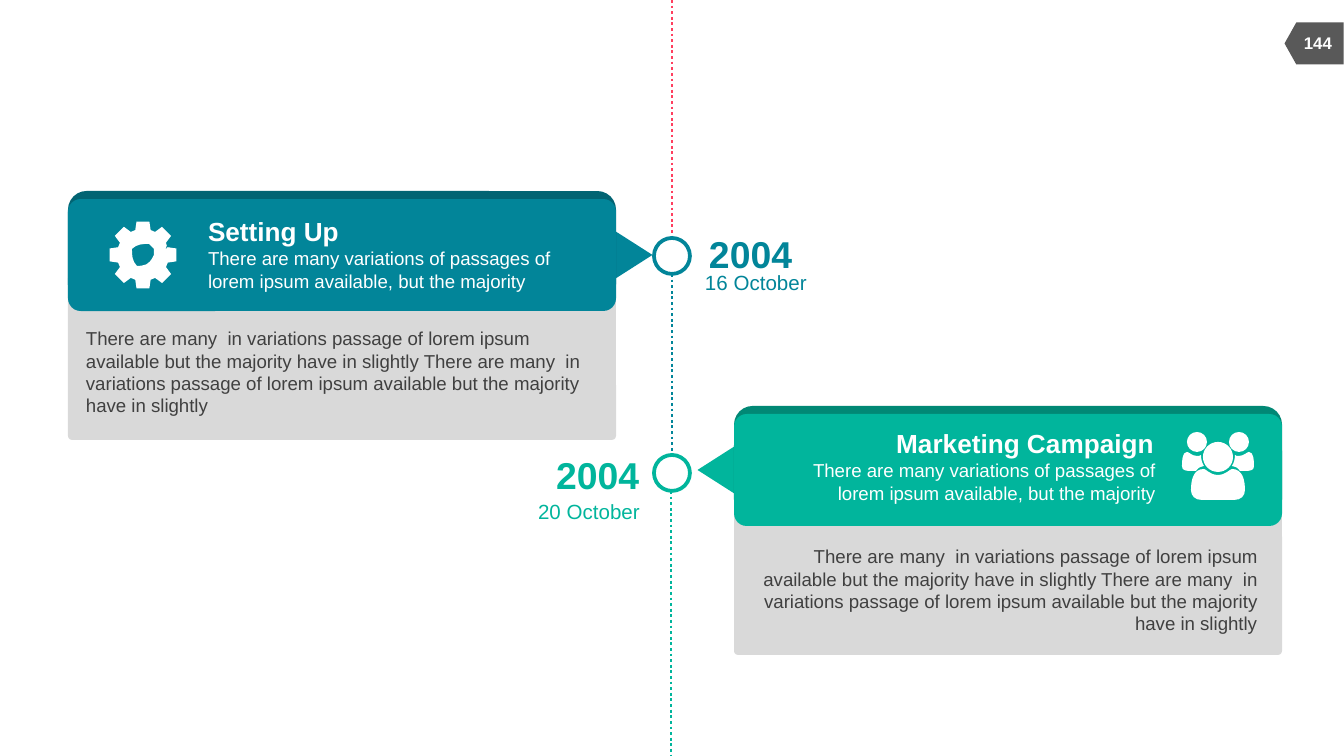
import math

import lxml.etree
import pptx
import pptx.dml.color
import pptx.enum.dml
import pptx.enum.shapes
import pptx.enum.text
import pptx.oxml.ns
import pptx.util

RGB = pptx.dml.color.RGBColor
KIND = pptx.enum.shapes.MSO_SHAPE
ALIGN = pptx.enum.text.PP_ALIGN
ANCHOR = pptx.enum.text.MSO_ANCHOR
tag = pptx.oxml.ns.qn

WHITE = RGB(0xFF, 0xFF, 0xFF)
GREY = RGB(0xD9, 0xD9, 0xD9)
BADGE = RGB(0x59, 0x59, 0x59)
INK = RGB(0x40, 0x40, 0x40)
RED = RGB(0xFF, 0x3F, 0x5F)
BLUE = RGB(0x02, 0x85, 0x99)
NAVY = RGB(0x02, 0x64, 0x73)
GREEN = RGB(0x01, 0xB5, 0x9C)
PINE = RGB(0x01, 0x88, 0x75)

SCALE = 914400 / 134.4
FONT = "Arial"
SHORT = "There are many variations of passages of lorem ipsum available, but the majority"
PART = "There are many  in variations passage of lorem ipsum available but the majority have in slightly"
LONG = f"{PART} {PART}"


def emu(*sizes):
    return [round(size * SCALE) for size in sizes]


class Deck:
    """Holds the style and the current slide; lengths are in px."""

    def __init__(self, width, height):
        self.file = pptx.Presentation()
        self.file.slide_width, self.file.slide_height = emu(width, height)
        self.slide = self.file.slides.add_slide(self.file.slide_layouts[6])

    def paint(self, shape, fill):
        shape.shadow.inherit = False
        shape.fill.solid()
        shape.fill.fore_color.rgb = fill
        shape.line.fill.background()

    def shape(self, kind, box, fill, turn=0, round_by=None):
        shape = self.slide.shapes.add_shape(kind, *emu(*box))
        self.paint(shape, fill)
        shape.rotation = turn
        if round_by is not None:
            shape.adjustments[0] = round_by
        return shape

    def ring(self, box, color):
        shape = self.shape(KIND.OVAL, box, WHITE)
        shape.line.color.rgb = color
        shape.line.width = pptx.util.Pt(2)

    def line(self, x, top, end, color):
        line = self.slide.shapes.add_connector(
            pptx.enum.shapes.MSO_CONNECTOR.STRAIGHT, *emu(x, top, x, end))
        line.line.color.rgb = color
        line.line.width = pptx.util.Pt(1.5)
        line.line.dash_style = pptx.enum.dml.MSO_LINE.ROUND_DOT
        lxml.etree.SubElement(line._element.spPr, tag("a:effectLst"))

    def text(self, box, words, size, color, bold=False, align=ALIGN.LEFT, wrap=False):
        """Wrapped text hangs from the top; a single line sits in the middle."""
        frame = self.slide.shapes.add_textbox(*emu(*box)).text_frame
        frame.margin_left = frame.margin_right = 0
        frame.margin_top = frame.margin_bottom = 0
        frame.word_wrap = wrap
        frame.vertical_anchor = ANCHOR.TOP if wrap else ANCHOR.MIDDLE
        frame.text = words
        para = frame.paragraphs[0]
        para.alignment = align
        font = para.runs[0].font
        font.name, font.size, font.bold = FONT, pptx.util.Pt(size), bold
        font.color.rgb = color

    def outline(self, loops, fill):
        """Draw closed loops as one shape: a start, then three points a curve."""
        loops = [[emu(*point) for point in loop] for loop in loops]
        pen = self.slide.shapes.build_freeform(*loops[0][0])
        for index, loop in enumerate(loops):
            if index:
                pen.move_to(*loop[0])
            pen.add_line_segments(loop[1:], close=True)
        shape = pen.convert_to_shape()
        self.paint(shape, fill)
        steps = list(shape._element.iter(tag("a:lnTo")))
        for one, two, end in zip(steps[::3], steps[1::3], steps[2::3]):
            bend = lxml.etree.Element(tag("a:cubicBezTo"))
            one.addprevious(bend)
            for step in (one, two, end):
                bend.append(step[0])
                step.getparent().remove(step)

    def card(self, x, y, fill, edge, tip):
        """Draw the empty card, its pointer centred on x = tip."""
        self.shape(KIND.ROUNDED_RECTANGLE, (x, y + 83, 548, 166), GREY, round_by=0.025)
        turn = 90 if tip > x + 273 else 270
        self.shape(KIND.ISOSCELES_TRIANGLE, (tip - 34, y + 37, 69, 54), fill, turn)
        self.shape(KIND.ROUNDED_RECTANGLE, (x, y, 548, 112), edge)
        self.shape(KIND.ROUNDED_RECTANGLE, (x, y + 8, 548, 112), fill, round_by=0.113)


def polar(x, y, radius, angle):
    return x + radius * math.cos(angle), y + radius * math.sin(angle)


def disc(x, y, r):
    """A circle of four curves."""
    k = 0.55 * r
    return [(x + a, y + b) for a, b in (
        (r, 0), (r, k), (k, r), (0, r), (-k, r), (-r, k), (-r, 0),
        (-r, -k), (-k, -r), (0, -r), (k, -r), (r, -k), (r, 0))]


def gear(x, y):
    """Eight tapered teeth around a round hole."""
    rim = []
    for tooth in range(8):
        mid = math.tau * tooth / 8
        for radius, turn in ((26, -0.3), (34, -0.19), (34, 0.19), (26, 0.3)):
            rim += [polar(x, y, radius, mid + turn)] * 3
    return [rim[2:] + rim[:2], disc(x, y, 11)]


def people(x, y):
    """Three people around the centre of the front one's head."""
    def flip(loop):
        return [(-a, b) for a, b in loop]

    half = [(-16, 43), (-23, 43), (-27, 39), (-27, 33),
            (-27, 24), (-25, 12), (-14, 12), (-12, 12), (-8, 18), (0, 18)]
    side = [(-28, 14), (-33, 14), (-36, 13), (-36, 9),
            (-36, 5), (-36, -5), (-31, -5), (-29, -5), (-26, -1), (-21, -1),
            (-19, -1), (-18, -1), (-17, -2), (-17, 2), (-16, 6), (-14, 9),
            (-17, 9), (-20, 11), (-22, 14)]
    head = disc(-21, -15, 10)
    loops = [side, flip(side), head, flip(head), disc(0, 0, 15),
             half + flip(half)[-2::-1]]
    return [[(x + a, y + b) for a, b in loop] for loop in loops]


def main():
    deck = Deck(1344, 756)
    deck.shape(KIND.FLOWCHART_OFFPAGE_CONNECTOR, (1293, 14, 42, 59), BADGE, 90)
    deck.text((1290, 23, 56, 40), "144", 9, WHITE, True, ALIGN.CENTER)

    for x, top, end, color in ((672, 0, 237, RED), (672, 274, 454, BLUE),
                               (671, 491, 756, GREEN)):
        deck.line(x, top, end, color)

    deck.card(68, 191, BLUE, NAVY, 625)
    deck.card(734, 406, GREEN, PINE, 724)
    deck.outline(gear(143, 255), WHITE)
    deck.outline(people(1218, 457), WHITE)

    for color, align, head, title, brief, body, ring, year, date, day in (
            (BLUE, ALIGN.LEFT, "Setting Up", (208, 215, 132, 32), (208, 247),
             (86, 327), 238, (709, 231), (705, 269), "16 October"),
            (GREEN, ALIGN.RIGHT, "Marketing Campaign", (896, 427, 258, 32), (784, 459),
             (750, 545), 455, (556, 452), (538, 498), "20 October")):
        deck.text(title, head, 14, WHITE, True, align)
        deck.text((*brief, 371, 46), SHORT, 10, WHITE, align=align, wrap=True)
        deck.text((*body, 507, 90), LONG, 10, INK, align=align, wrap=True)
        deck.ring((654, ring, 36, 36), color)
        deck.text((*year, 90, 46), "2004", 20, color, True)
        deck.text((*date, 102, 26), day, 11, color, align=align)

    deck.file.save("out.pptx")


if __name__ == "__main__":
    main()
